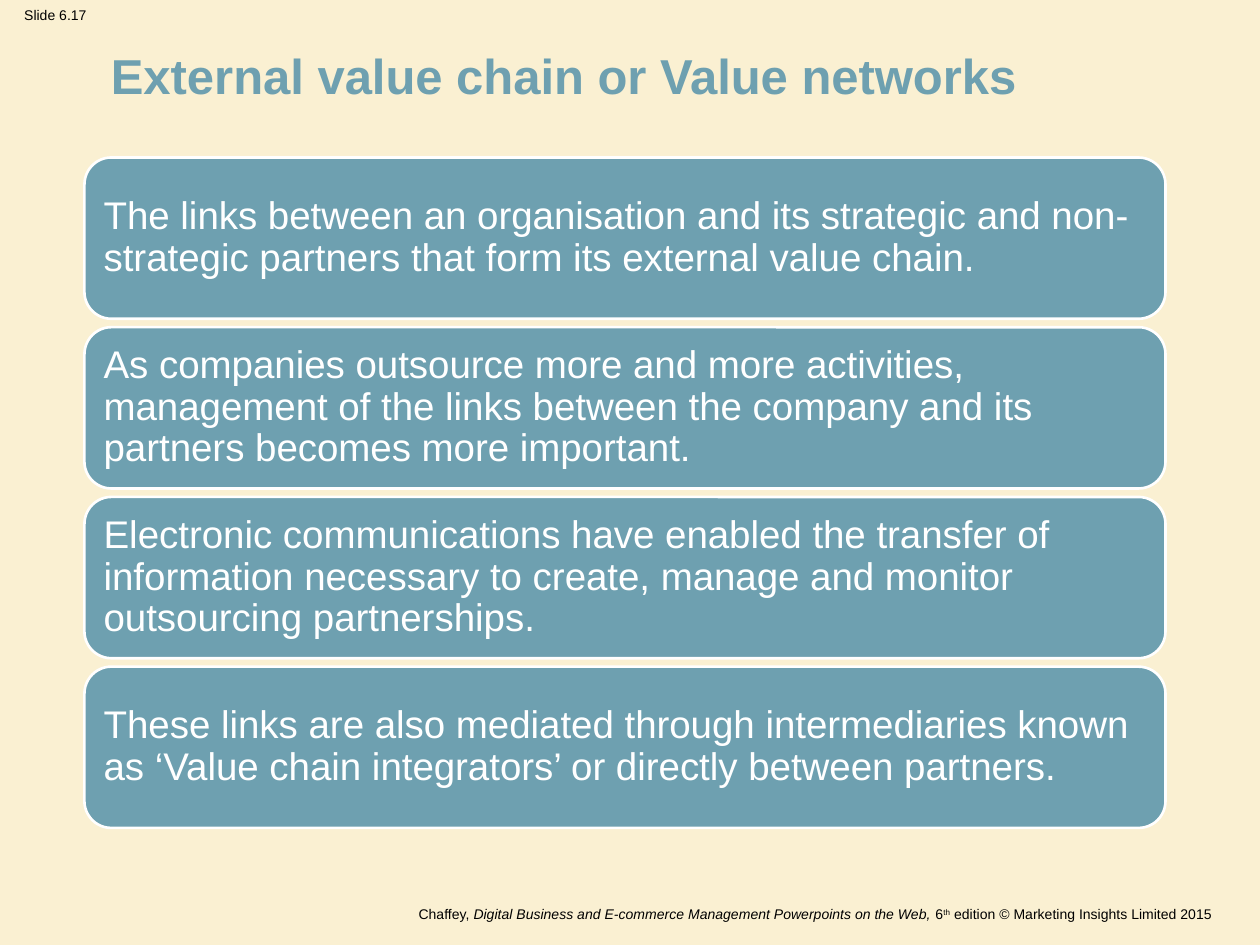
from pptx import Presentation
from pptx.dml.color import RGBColor as Rgb
from pptx.enum.shapes import MSO_SHAPE as Kind
from pptx.enum.text import MSO_ANCHOR as Anchor, PP_ALIGN as Align
from pptx.util import Inches, Pt

COLORS = {"page": "FAF0D2", "teal": "6EA0B0", "white": "FFFFFF", "black": "000000"}
COLS, ROWS = 100, 75
POINTS = [
    "The links between an organisation and its strategic and non-strategic partners "
    "that form its external value chain.",
    "As companies outsource more and more activities, management of the links between "
    "the company and its partners becomes more important.",
    "Electronic communications have enabled the transfer of information necessary to "
    "create, manage and monitor outsourcing partnerships.",
    "These links are also mediated through intermediaries known as ‘Value chain "
    "integrators’ or directly between partners.",
]
CREDIT = [
    ("Chaffey, ", {}),
    ("Digital Business and E-commerce Management Powerpoints on the Web,", {"italic": True}),
    (" 6", {}),
    ("th", {"raised": True}),
    (" edition © Marketing Insights Limited 2015", {}),
]


def color(name):
    return Rgb.from_string(COLORS[name])


def write(frame, text, size=8, ink="black", bold=False, align=Align.LEFT,
          anchor=Anchor.TOP, pad=(0.1, 0.05), wrap=True, lead=None):
    """Fill a text frame with a string or a list of (text, marks) runs."""
    frame.word_wrap, frame.vertical_anchor = wrap, anchor
    frame.margin_left = frame.margin_right = Inches(pad[0])
    frame.margin_top = frame.margin_bottom = Inches(pad[1])
    para = frame.paragraphs[0]
    para.alignment = align
    if lead:
        para.line_spacing = lead
    for part, marks in [(text, {})] if isinstance(text, str) else text:
        run = para.add_run()
        run.text = part
        font = run.font
        font.name, font.size, font.bold = "Arial", Pt(size), bold
        font.italic = marks.get("italic", False)
        font.color.rgb = color(ink)
        if marks.get("raised"):
            run._r.get_or_add_rPr().set("baseline", "30000")


class Deck:
    """Hold the slide and draw styled parts on its grid."""

    def __init__(self):
        self.show = Presentation()
        self.show.slide_width, self.show.slide_height = Inches(10), Inches(7.5)
        self.slide = self.show.slides.add_slide(self.show.slide_layouts[6])
        back = self.slide.background.fill
        back.solid()
        back.fore_color.rgb = color("page")

    def place(self, col, row, wide, high):
        x, y = self.show.slide_width / COLS, self.show.slide_height / ROWS
        return [int(n) for n in (col * x, row * y, wide * x, high * y)]

    def label(self, text, *cell, **style):
        box = self.slide.shapes.add_textbox(*self.place(*cell))
        write(box.text_frame, text, **style)

    def panel(self, text, *cell):
        box = self.slide.shapes.add_shape(Kind.ROUNDED_RECTANGLE, *self.place(*cell))
        box.shadow.inherit = False
        box.fill.solid()
        box.fill.fore_color.rgb = color("teal")
        box.line.color.rgb = color("white")
        box.line.width = Pt(1.5)
        write(box.text_frame, text, size=22, ink="white", anchor=Anchor.MIDDLE,
              pad=(0.09, 0.09), lead=0.9)


def main():
    deck = Deck()
    deck.label("Slide 6.17", 0, 0, 8.8, 2.4, align=Align.CENTER, wrap=False)
    deck.label(CREDIT, 2.7, 71.4, 94.5, 2.1, align=Align.RIGHT)
    deck.label("External value chain or Value networks", 8.3, 3.6, 81.1, 5.5,
               size=28, ink="teal", bold=True, pad=(0.05, 0))
    top, step = 12.5, 13.47
    for i, point in enumerate(POINTS):
        deck.panel(point, 6.7, top + i * step, 85.8, 12.8)
    deck.show.save("out.pptx")


if __name__ == "__main__":
    main()
